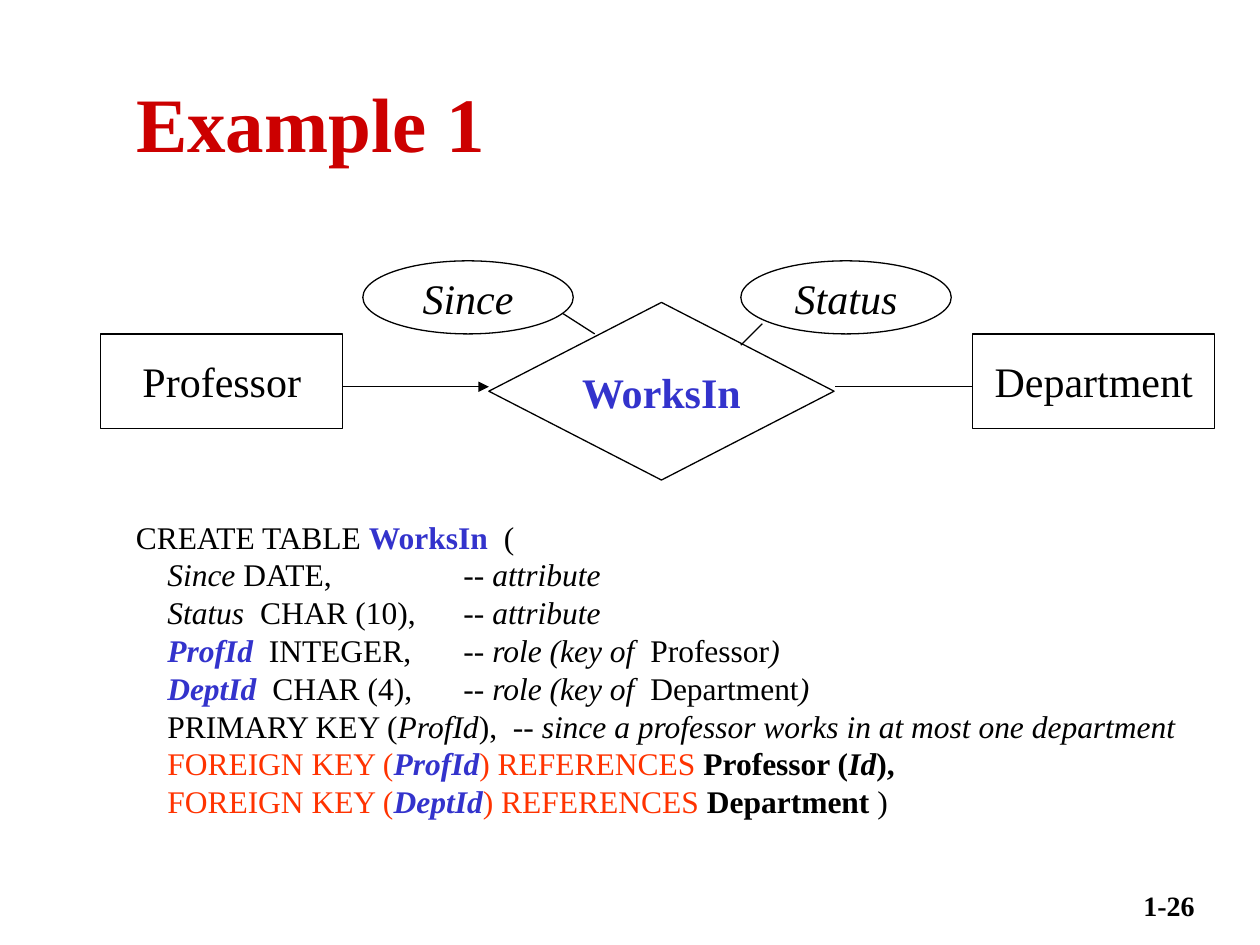
from lxml.etree import SubElement
from pptx import Presentation
from pptx.dml.color import RGBColor
from pptx.enum.shapes import MSO_CONNECTOR, MSO_SHAPE
from pptx.enum.text import MSO_ANCHOR, PP_ALIGN
from pptx.oxml.ns import qn
from pptx.util import Inches, Pt

BLACK = RGBColor(0, 0, 0)
WHITE = RGBColor(255, 255, 255)
RED = RGBColor(0xCC, 0, 0)
ORANGE = RGBColor(0xFF, 0x33, 0)
BLUE = RGBColor(0x33, 0x33, 0xCC)
FONT = "Times New Roman"

ITALIC = {"italic": True}
BOLD = {"bold": True}
KEY = {"bold": True, "color": BLUE}
ROLE = {**KEY, "italic": True}
LINK = {"color": ORANGE}


def write(frame, lines, size=18, align=PP_ALIGN.LEFT, anchor=MSO_ANCHOR.TOP,
          wrap=True, tabs=(), **base):
    frame.word_wrap = wrap
    frame.vertical_anchor = anchor
    for index, line in enumerate(lines):
        para = frame.add_paragraph() if index else frame.paragraphs[0]
        para.alignment = align
        if tabs:
            stops = SubElement(para._p.get_or_add_pPr(), qn("a:tabLst"))
            for stop in tabs:
                SubElement(stops, qn("a:tab"), pos=str(Inches(stop)), algn="l")
        for text, style in line:
            look = {**base, **style}
            run = para.add_run()
            run.text = text
            run.font.name = FONT
            run.font.size = Pt(size)
            run.font.bold = look.get("bold", False)
            run.font.italic = look.get("italic", False)
            run.font.color.rgb = look.get("color", BLACK)


def add_title(slide, left, top, width, height):
    title = slide.shapes.title
    title.left, title.top = Inches(left), Inches(top)
    title.width, title.height = Inches(width), Inches(height)
    write(title.text_frame, [[("Example 1", BOLD)]], size=44,
          anchor=MSO_ANCHOR.MIDDLE, color=RED)


def add_text(slide, left, top, width, height, lines, **style):
    box = slide.shapes.add_textbox(
        Inches(left), Inches(top), Inches(width), Inches(height))
    write(box.text_frame, lines, **style)


def add_node(slide, kind, left, top, width, height, text, **style):
    node = slide.shapes.add_shape(
        kind, Inches(left), Inches(top), Inches(width), Inches(height))
    node.shadow.inherit = False
    node.fill.solid()
    node.fill.fore_color.rgb = WHITE
    node.line.color.rgb = BLACK
    node.line.width = Pt(0.75)
    write(node.text_frame, [[(text, style)]], size=24, wrap=False,
          align=PP_ALIGN.CENTER, anchor=MSO_ANCHOR.MIDDLE)


def add_line(slide, x1, y1, x2, y2, arrow=False):
    line = slide.shapes.add_connector(
        MSO_CONNECTOR.STRAIGHT, Inches(x1), Inches(y1), Inches(x2), Inches(y2))
    line.line.color.rgb = BLACK
    line.line.width = Pt(0.75)
    if arrow:
        SubElement(line.line._get_or_add_ln(), qn("a:tailEnd"), type="triangle")
    SubElement(line._element.spPr, qn("a:effectLst"))


def add_diagram(slide, left, top):
    add_node(slide, MSO_SHAPE.DIAMOND, left + 3.08, top + 0.33, 2.74, 1.41,
             "WorksIn", **KEY)
    for x, name in ((0, "Professor"), (6.92, "Department")):
        add_node(slide, MSO_SHAPE.RECTANGLE, left + x, top + 0.58, 1.92, 0.75, name)
    for x, name in ((2.08, "Since"), (5.08, "Status")):
        add_node(slide, MSO_SHAPE.OVAL, left + x, top, 1.67, 0.58, name, **ITALIC)
    for x1, y1, x2, y2, arrow in (
        (1.92, 1, 3.08, 1, True),
        (5.83, 1, 6.92, 1, False),
        (5.25, 0.5, 5.08, 0.67, False),
        (3.67, 0.42, 3.92, 0.58, False),
    ):
        add_line(slide, left + x1, top + y1, left + x2, top + y2, arrow)


def role(field, kind, table):
    return [("\t", {}), (field, ROLE), (f"  {kind},\t-- ", {}),
            ("role (key of  ", ITALIC), (table, {}), (")", ITALIC)]


def column(field, kind):
    return [("\t", {}), (field, ITALIC), (f" {kind},\t-- ", {}),
            ("attribute", ITALIC)]


def foreign(field, *target):
    return [("\tFOREIGN KEY (", LINK), (field, ROLE),
            (") REFERENCES ", LINK), *target]


def add_code(slide, left, top, width, height):
    lines = [
        [("CREATE TABLE ", {}), ("WorksIn ", KEY), (" (", {})],
        column("Since", "DATE"),
        column("Status", " CHAR (10)"),
        role("ProfId", "INTEGER", "Professor"),
        role("DeptId", "CHAR (4)", "Department"),
        [("\tPRIMARY KEY (", {}), ("ProfId", ITALIC), ("),  -- ", {}),
         ("since a professor works in at most one department", ITALIC)],
        foreign("ProfId", ("Professor (", BOLD),
                ("Id", {**BOLD, **ITALIC}), ("),", BOLD)),
        foreign("DeptId", ("Department", BOLD), (" )", {})),
    ]
    add_text(slide, left, top, width, height, lines, tabs=(0.25, 2.6))


def main():
    deck = Presentation()
    deck.slide_width, deck.slide_height = Inches(10), Inches(7.5)
    slide = deck.slides.add_slide(deck.slide_layouts[5])
    add_title(slide, 0.98, 0.34, 8.5, 1.25)
    add_diagram(slide, 0.8, 2.07)
    add_code(slide, 0.98, 4.06, 8.8, 2.5)
    add_text(slide, 8.62, 7, 0.96, 0.5, [[("1-26", BOLD)]], size=16,
             align=PP_ALIGN.RIGHT)
    deck.save("out.pptx")


if __name__ == "__main__":
    main()
